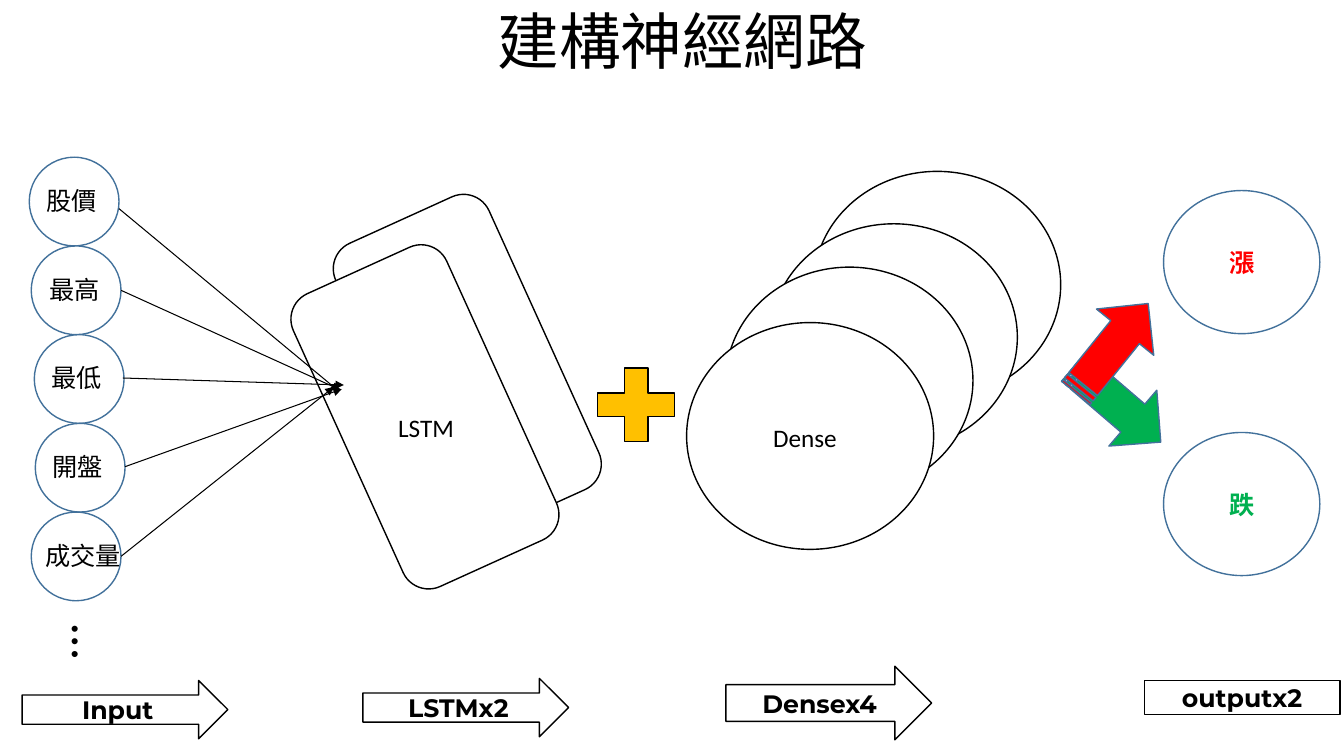
from dataclasses import dataclass

from lxml import etree
from pptx import Presentation
from pptx.dml.color import RGBColor
from pptx.enum import shapes, text
from pptx.oxml.ns import qn
from pptx.util import Inches, Pt

Shape = shapes.MSO_SHAPE


@dataclass(frozen=True)
class Theme:
    ink: str = "000000"
    paper: str = "FFFFFF"
    outline: str = "42719B"
    plus: str = "FFC000"
    rise: str = "FF0000"
    fall: str = "00B050"
    body_font: str = "Calibri"
    stage_font: str = "Montserrat"
    title_size: int = 44
    dots_size: int = 36
    body_size: int = 18
    line: float = 1
    link: float = 0.75


class Diagram:
    """Draws elements on one slide in one theme; boxes are (left, top, width, height) in inches."""

    def __init__(self, slide, theme):
        self.items = slide.shapes
        self.theme = theme

    def set_text(self, frame, words, size=None, color=None, font=None, bold=False, centred=True):
        frame.word_wrap = True
        paragraph = frame.paragraphs[0]
        paragraph.text = words
        paragraph.alignment = text.PP_ALIGN.CENTER if centred else text.PP_ALIGN.LEFT
        paragraph.font.name = font or self.theme.body_font
        paragraph.font.size = Pt(size or self.theme.body_size)
        paragraph.font.bold = bold
        paragraph.font.color.rgb = RGBColor.from_string(color or self.theme.ink)
        return paragraph

    def shape(self, kind, box, fill=None, line=None, turn=0, adjust=None):
        item = self.items.add_shape(kind, *map(Inches, box))
        item.shadow.inherit = False
        item.rotation = turn
        item.fill.solid()
        item.fill.fore_color.rgb = RGBColor.from_string(fill or self.theme.paper)
        item.line.color.rgb = RGBColor.from_string(line or self.theme.ink)
        item.line.width = Pt(self.theme.line)
        if adjust is not None:
            item.adjustments[0] = adjust
        return item

    def stage(self, kind, box, name):
        frame = self.shape(kind, box).text_frame
        frame.vertical_anchor = text.MSO_ANCHOR.MIDDLE
        self.set_text(frame, name, font=self.theme.stage_font, bold=True)

    def node(self, box):
        return self.shape(Shape.FLOWCHART_CONNECTOR, box, line=self.theme.outline)

    def outcome(self, top, word, color):
        frame = self.node((11.54, top, 1.55, 1.42)).text_frame
        frame.vertical_anchor = text.MSO_ANCHOR.MIDDLE
        self.set_text(frame, word, color=color, bold=True)

    def outcome_arrow(self, left, top, turn, color):
        self.shape(Shape.STRIPED_RIGHT_ARROW, (left, top, 1.14, 0.73),
                   color, self.theme.outline, turn)

    def label(self, box, words, size=None, turn=0):
        item = self.items.add_textbox(*map(Inches, box))
        item.rotation = turn
        self.set_text(item.text_frame, words, size, centred=False)

    def title(self, box, words):
        frame = self.items.add_textbox(*map(Inches, box)).text_frame
        frame.vertical_anchor = text.MSO_ANCHOR.MIDDLE
        self.set_text(frame, words, self.theme.title_size).line_spacing = 0.9

    def arrow(self, start, end):
        link = self.items.add_connector(
            shapes.MSO_CONNECTOR.STRAIGHT, *map(Inches, (*start, *end)))
        link.line.color.rgb = RGBColor.from_string(self.theme.ink)
        link.line.width = Pt(self.theme.link)
        properties = link._element.spPr
        etree.SubElement(properties.find(qn("a:ln")), qn("a:tailEnd"), type="triangle")
        etree.SubElement(properties, qn("a:effectLst"))


def build(diagram):
    theme = diagram.theme
    diagram.title((1.02, -0.28, 11.5, 1.45), "建構神經網路")

    for left, top in ((3.04, 2.8), (2.62, 3.3)):
        diagram.shape(Shape.ROUNDED_RECTANGLE, (left, top, 3.19, 1.67), turn=245.6)
    diagram.shape(Shape.MATH_PLUS, (5.79, 3.52, 1.04, 0.99), theme.plus, adjust=0.235)
    for left, top in ((8.07, 1.7), (7.64, 2.22), (7.2, 2.65), (6.81, 3.2)):
        diagram.shape(Shape.OVAL, (left, top, 2.45, 2.25))

    diagram.stage(Shape.RIGHT_ARROW, (3.6, 6.73, 2.04, 0.58), "LSTMx2")
    diagram.stage(Shape.RIGHT_ARROW, (7.2, 6.61, 2.04, 0.73), "Densex4")
    diagram.stage(Shape.RIGHT_ARROW, (0.22, 6.75, 2.04, 0.58), "Input")
    diagram.stage(Shape.RECTANGLE, (11.35, 6.75, 1.94, 0.34), "outputx2")

    diagram.outcome(1.89, "漲", theme.rise)
    diagram.outcome(4.29, "跌", theme.fall)
    diagram.outcome_arrow(10.51, 3.65, 40.6, theme.fall)
    diagram.outcome_arrow(10.46, 3.09, 308.9, theme.rise)

    # name, circle left, label left, label width, arrow start, arrow end
    features = (
        ("股價", 0.29, 0.36, 0.79, (1.18, 2.07), (3.36, 3.88)),
        ("最高", 0.31, 0.39, 0.79, (1.2, 2.88), (3.38, 3.87)),
        ("最低", 0.34, 0.41, 0.79, (1.22, 3.75), (3.41, 3.82)),
        ("開盤", 0.35, 0.42, 0.79, (1.24, 4.63), (3.39, 3.86)),
        ("成交量", 0.31, 0.35, 1.01, (1.2, 5.52), (3.31, 3.84)),
    )
    pitch = 0.88
    for row, (_, left, *_) in enumerate(features):
        diagram.node((left, 1.56 + row * pitch, 0.89, 0.88))
    for row, (name, _, left, width, start, end) in enumerate(features):
        diagram.arrow(start, end)
        diagram.label((left, 1.79 + row * pitch, width, 0.4), name)

    diagram.label((0.57, 5.98, 0.58, 0.81), "…", theme.dots_size, turn=90)
    diagram.label((3.85, 4.04, 0.95, 0.4), "LSTM")
    diagram.label((7.57, 4.14, 1.53, 0.4), "Dense")


def main():
    deck = Presentation()
    deck.slide_width, deck.slide_height = Inches(13.33), Inches(7.5)
    slide = deck.slides.add_slide(deck.slide_layouts[6])
    build(Diagram(slide, Theme()))
    deck.save("out.pptx")


if __name__ == "__main__":
    main()
